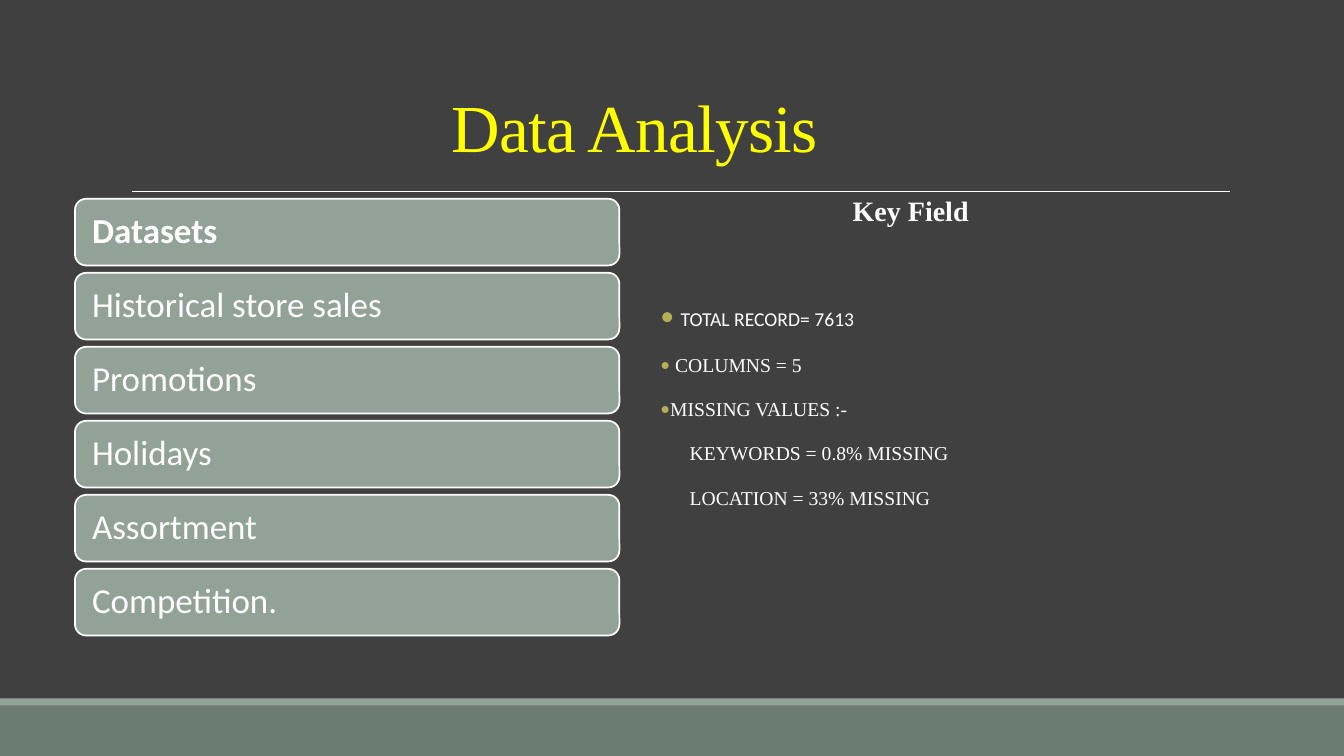
from lxml import etree
from pptx import Presentation
from pptx.dml.color import RGBColor
from pptx.enum.shapes import MSO_CONNECTOR, MSO_SHAPE
from pptx.enum.text import MSO_ANCHOR, PP_ALIGN
from pptx.oxml.ns import qn
from pptx.util import Cm, Pt

RECT, ROUNDED = MSO_SHAPE.RECTANGLE, MSO_SHAPE.ROUNDED_RECTANGLE
STRAIGHT = MSO_CONNECTOR.STRAIGHT
TOP, MIDDLE, BOTTOM = MSO_ANCHOR.TOP, MSO_ANCHOR.MIDDLE, MSO_ANCHOR.BOTTOM
LEFT = PP_ALIGN.LEFT

DARK = RGBColor(0x40, 0x40, 0x40)
GREEN = RGBColor(0x6B, 0x7D, 0x72)
SAGE = RGBColor(0x93, 0xA2, 0x99)
WHITE = RGBColor(0xFF, 0xFF, 0xFF)
YELLOW = RGBColor(0xFF, 0xFF, 0x00)
OLIVE = RGBColor(0xB5, 0xAE, 0x53)
SERIF, SANS = "Times New Roman", "Calibri"


def set_frame(sp, anchor, left, top):
    tf = sp.text_frame
    frame = dict(word_wrap=True, vertical_anchor=anchor, margin_left=Cm(left),
                 margin_right=Cm(left), margin_top=Cm(top), margin_bottom=Cm(top))
    for name, value in frame.items():
        setattr(tf, name, value)
    return tf


def add_run(p, text, font, size, color=WHITE, bold=False):
    r = p.add_run()
    r.text = text
    for name, value in dict(name=font, size=Pt(size), bold=bold).items():
        setattr(r.font, name, value)
    r.font.color.rgb = color
    return r


prs = Presentation()
prs.slide_width, prs.slide_height = Cm(33.87), Cm(19.05)
s = prs.slides.add_slide(prs.slide_layouts[6])
s.background.fill.solid()
s.background.fill.fore_color.rgb = DARK

# Footer bands
for top, height, color in [(17.78, 1.27, GREEN), (17.6, 0.18, SAGE)]:
    sp = s.shapes.add_shape(RECT, 0, Cm(top), prs.slide_width, Cm(height))
    sp.shadow.inherit = False
    sp.fill.solid()
    sp.fill.fore_color.rgb = color
    sp.line.fill.background()

# Rule under the title
rule = s.shapes.add_connector(STRAIGHT, Cm(3.33), Cm(4.82), Cm(31), Cm(4.82))
rule.line.color.rgb = WHITE
rule.line.width = Pt(0.5)
etree.SubElement(rule._element.spPr, qn("a:effectLst"))

# Title
sp = s.shapes.add_textbox(Cm(11.13), Cm(1.6), Cm(11.56), Cm(2.72))
p = set_frame(sp, BOTTOM, 0.25, 0.13).paragraphs[0]
p.line_spacing = 0.85
r = add_run(p, "Data Analysis", SERIF, 48, YELLOW)
r.font._element.set("spc", "-50")

# Dataset list
datasets = ["Datasets", "Historical store sales", "Promotions",
            "Holidays", "Assortment", "Competition."]
for i, name in enumerate(datasets):
    sp = s.shapes.add_shape(ROUNDED, Cm(1.89), Cm(5.01 + 1.865 * i), Cm(13.72), Cm(1.68))
    sp.shadow.inherit = False
    sp.fill.solid()
    sp.fill.fore_color.rgb = SAGE
    sp.line.color.rgb = WHITE
    sp.line.width = Pt(1.25)
    p = set_frame(sp, MIDDLE, 0.35, 0.25).paragraphs[0]
    p.alignment = LEFT
    p.line_spacing = 0.9
    add_run(p, name, SANS, 25, bold=i == 0)

# Key fields: indent in cm, space before, bulleted, runs
key_fields = [
    (4.85, 0, False, [("Key Field", SERIF, 20, WHITE, True)]),
    (0.25, 52, True, [(" ", SANS, 20), ("TOTAL RECORD= 7613", SANS, 14)]),
    (0.25, 14, True, [(" COLUMNS = 5", SERIF, 14)]),
    (0.25, 14.5, True, [("MISSING VALUES :-", SERIF, 14)]),
    (0.74, 14.5, False, [("KEYWORDS = 0.8% MISSING", SERIF, 14)]),
    (0.74, 14.5, False, [("LOCATION = 33% MISSING", SERIF, 14)]),
]
sp = s.shapes.add_textbox(Cm(16.64), Cm(4.83), Cm(14.35), Cm(11.18))
tf = set_frame(sp, TOP, 0, 0.13)
for i, (indent, before, bulleted, runs) in enumerate(key_fields):
    p = tf.add_paragraph() if i else tf.paragraphs[0]
    p.line_spacing = 0.9
    p.space_before, p.space_after = Pt(before), Pt(2)
    pPr = p._p.get_or_add_pPr()
    pPr.set("marL", str(Cm(indent)))
    if bulleted:
        pPr.set("indent", str(-Cm(indent)))
        color = etree.SubElement(pPr, qn("a:buClr"))
        etree.SubElement(color, qn("a:srgbClr"), val=str(OLIVE))
        etree.SubElement(pPr, qn("a:buFont"), typeface=SANS)
        etree.SubElement(pPr, qn("a:buChar"), char="•")
    for run in runs:
        add_run(p, *run)

prs.save("out.pptx")
